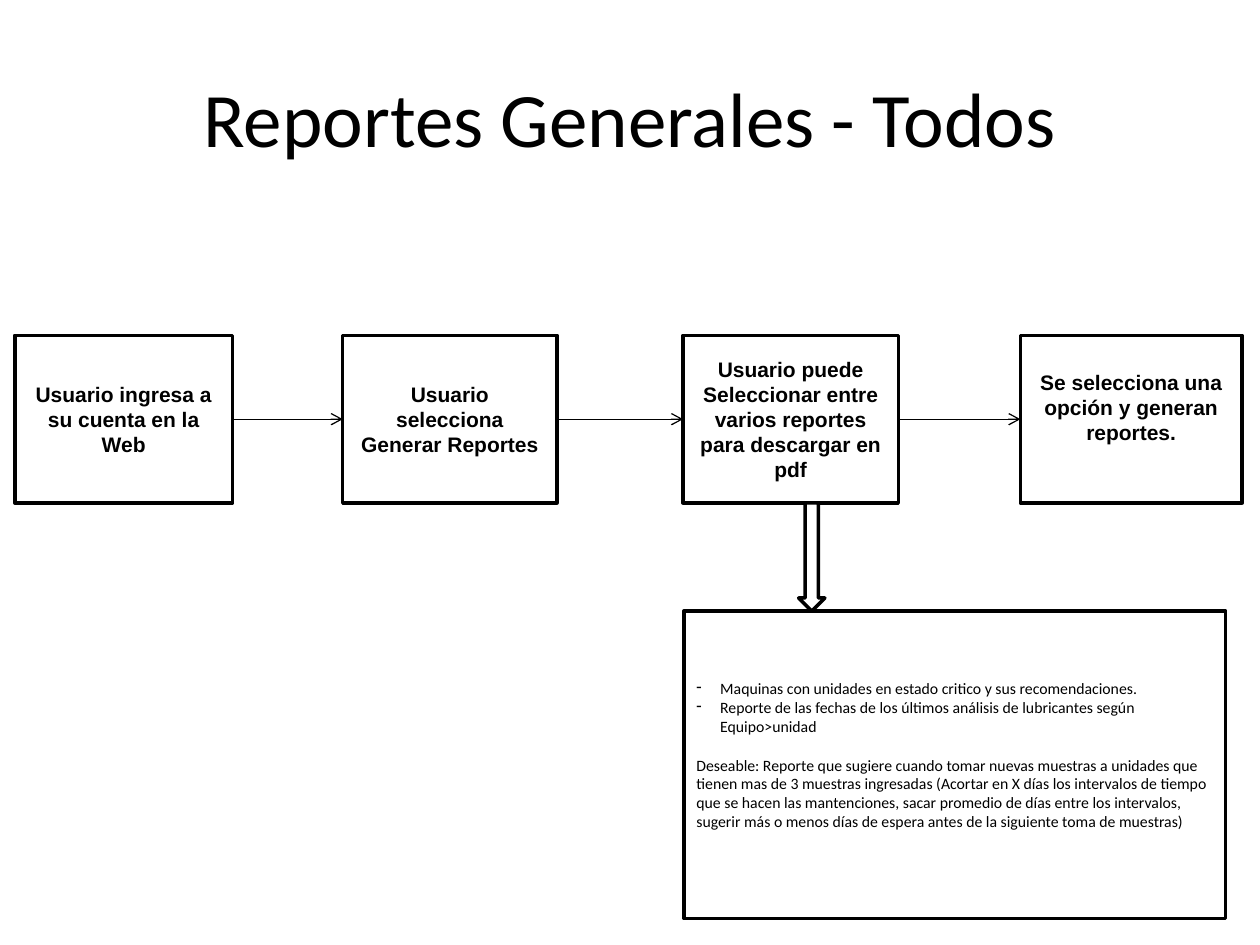
from itertools import pairwise

from lxml.etree import SubElement
from pptx import Presentation
from pptx.dml.color import RGBColor
from pptx.enum.shapes import MSO_CONNECTOR, MSO_SHAPE
from pptx.enum.text import MSO_ANCHOR, PP_ALIGN
from pptx.oxml.ns import qn
from pptx.util import Cm, Pt

# Content
TITLE = "Reportes Generales - Todos"
# Step: text, left, width, extra room under the text (cm)
STEPS = [
    ("Usuario ingresa a su cuenta en la Web", 0.3, 4.39, 0),
    ("Usuario selecciona Generar Reportes", 6.91, 4.32, 0),
    ("Usuario puede Seleccionar entre varios reportes para descargar en pdf", 13.77, 4.34, 0),
    ("Se selecciona una opción y generan reportes.", 20.57, 4.47, 0.48),
]
REPORTS = [
    "Maquinas con unidades en estado critico y sus recomendaciones.",
    "Reporte de las fechas de los últimos análisis de lubricantes según Equipo>unidad",
]
DESIRABLE = (
    "Deseable: Reporte que sugiere cuando tomar nuevas muestras a unidades que "
    "tienen mas de 3 muestras ingresadas (Acortar en X días los intervalos de tiempo "
    "que se hacen las mantenciones, sacar promedio de días entre los intervalos, "
    "sugerir más o menos días de espera antes de la siguiente toma de muestras)"
)


class Theme:
    ink = RGBColor(0, 0, 0)
    paper = RGBColor(255, 255, 255)
    heading, step, detail = ("Calibri", 44), ("Arial", 12), ("Calibri", 9)
    outline, flow = Pt(2), Pt(0.75)


# Layout in cm
STEP_TOP, STEP_HEIGHT = 6.76, 3.38
DETAIL_BOX = (13.79, 12.32, 10.92, 6.2)
DOWN_LEFT, DOWN_WIDTH = 16.1, 0.53
PADDING, INDENT = 0.13, 0.48


def write(paragraph, text, style, align=PP_ALIGN.LEFT, bold=False):
    paragraph.text = text
    paragraph.alignment = align
    font = paragraph.font
    font.name, font.size = style[0], Pt(style[1])
    font.bold, font.color.rgb = bold, Theme.ink


def add_outlined(shapes, kind, box, extra_bottom=0):
    outlined = shapes.add_shape(kind, *map(Cm, box))
    outlined.shadow.inherit = False
    outlined.fill.solid()
    outlined.fill.fore_color.rgb = Theme.paper
    outlined.line.color.rgb = Theme.ink
    outlined.line.width = Theme.outline
    frame = outlined.text_frame
    frame.word_wrap = True
    frame.vertical_anchor = MSO_ANCHOR.MIDDLE
    frame.margin_bottom = Cm(PADDING + extra_bottom)
    return outlined


def add_flow(shapes, start, end):
    flow = shapes.add_connector(MSO_CONNECTOR.STRAIGHT, 0, 0, 0, 0)
    flow.begin_connect(start, 3)
    flow.end_connect(end, 1)
    flow.line.color.rgb = Theme.ink
    flow.line.width = Theme.flow
    SubElement(flow.line._get_or_add_ln(), qn("a:tailEnd"), type="arrow")
    SubElement(flow._element.spPr, qn("a:effectLst"))


def add_dash(paragraph):
    properties = paragraph._p.get_or_add_pPr()
    properties.set("marL", str(Cm(INDENT)))
    properties.set("indent", str(-Cm(INDENT)))
    SubElement(properties, qn("a:buChar"), char="-")


def main():
    deck = Presentation()
    deck.slide_width, deck.slide_height = Cm(25.4), Cm(19.05)
    shapes = deck.slides.add_slide(deck.slide_layouts[6]).shapes

    # Title
    heading = shapes.add_textbox(Cm(1.27), Cm(0.76), Cm(22.86), Cm(3.18)).text_frame
    heading.word_wrap = True
    heading.vertical_anchor = MSO_ANCHOR.MIDDLE
    write(heading.paragraphs[0], TITLE, Theme.heading, PP_ALIGN.CENTER)

    # Steps and the flow between them
    steps = []
    for text, left, width, extra_bottom in STEPS:
        step = add_outlined(shapes, MSO_SHAPE.RECTANGLE,
                            (left, STEP_TOP, width, STEP_HEIGHT), extra_bottom)
        write(step.text_frame.paragraphs[0], text, Theme.step, PP_ALIGN.CENTER, bold=True)
        steps.append(step)
    for start, end in pairwise(steps):
        add_flow(shapes, start, end)

    # Arrow down to the report details
    step_bottom = STEP_TOP + STEP_HEIGHT
    add_outlined(shapes, MSO_SHAPE.DOWN_ARROW,
                 (DOWN_LEFT, step_bottom, DOWN_WIDTH, DETAIL_BOX[1] - step_bottom))

    # Report details
    details = add_outlined(shapes, MSO_SHAPE.RECTANGLE, DETAIL_BOX, 0.39).text_frame
    for index, report in enumerate(REPORTS):
        paragraph = details.add_paragraph() if index else details.paragraphs[0]
        write(paragraph, report, Theme.detail)
        add_dash(paragraph)
    desirable = details.add_paragraph()
    write(desirable, DESIRABLE, Theme.detail)
    desirable.space_before = Pt(11)

    deck.save("out.pptx")


if __name__ == "__main__":
    main()
